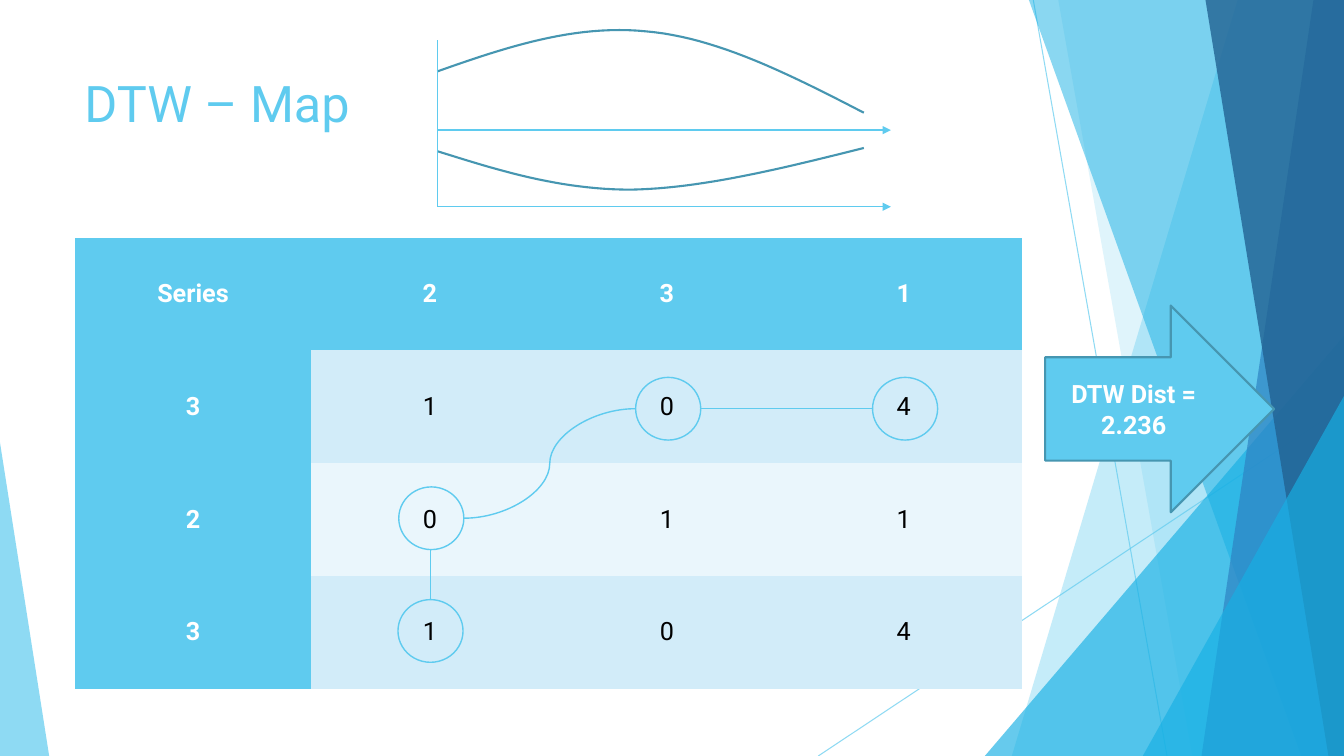
from dataclasses import dataclass
from typing import Any, Optional

import pptx
import pptx.dml.color
import pptx.enum.shapes
import pptx.enum.text
import pptx.oxml
import pptx.oxml.ns
import pptx.util
from pptx.util import Cm

Point = tuple[float, float]
Shapes = pptx.enum.shapes.MSO_SHAPE
Connectors = pptx.enum.shapes.MSO_CONNECTOR
qn = pptx.oxml.ns.qn

WIDTH, HEIGHT = 33.87, 19.05
NO_GRID_STYLE = "{2D5ABB26-0587-4C30-8999-92F81FD0307C}"
CURVE_STEPS = 24


@dataclass(frozen=True)
class Theme:
    font: str = "Roboto"
    sky: str = "5FCBEF"
    teal: str = "4696B1"
    azure: str = "17B0E4"
    blue: str = "2E83C3"
    navy: str = "226292"
    band_dark: str = "D2ECF9"
    band_light: str = "EAF6FC"
    white: str = "FFFFFF"
    black: str = "000000"
    title_size: float = 36
    body_size: float = 18
    hairline: float = 0.75
    thin: float = 1
    thick: float = 1.5


THEME = Theme()


@dataclass(frozen=True)
class Band:
    """A full-height facet reaching the right edge of the slide."""
    top_x: float
    bottom_x: float
    color: str
    opacity: int


@dataclass(frozen=True)
class Wedge:
    """A right triangle on the bottom edge, with its peak at one end."""
    left: float
    top: float
    width: float
    peak: float
    color: str
    opacity: int


@dataclass(frozen=True)
class Ring:
    x: float
    y: float
    rx: float = 0.82
    ry: float = 0.79


RAYS: list[tuple[Point, Point]] = [
    ((26.04, 0), (29.41, HEIGHT)),
    ((WIDTH, 10.24), (20.62, HEIGHT)),
]
FACETS: list[Band | Wedge] = [
    Band(31.19, 25.5, THEME.sky, 36),
    Band(26.67, 30.05, THEME.sky, 20),
    Wedge(24.82, 8.46, 9.05, 1, THEME.azure, 66),
    Band(25.93, 32.79, THEME.azure, 50),
    Band(33.1, 30.28, THEME.blue, 70),
    Band(30.38, 33.48, THEME.navy, 80),
    Wedge(28.8, 9.98, 5.07, 1, THEME.azure, 66),
    Wedge(0, 11.15, 1.24, 0, THEME.sky, 70),
]
COST_MAP = [
    ["Series", "2", "3", "1"],
    ["3", "1", "0", "4"],
    ["2", "0", "1", "1"],
    ["3", "1", "0", "4"],
]
# Each series: start point, then three points for every cubic piece
UPPER_SERIES: list[Point] = [
    (11.02, 1.8), (12.75, 1.19), (14.48, 0.61), (16.28, 0.79),
    (18.06, 0.94), (19.91, 1.88), (21.77, 2.84)]
LOWER_SERIES: list[Point] = [
    (21.77, 3.73), (19.74, 4.24), (17.68, 4.75), (15.9, 4.78),
    (14.1, 4.78), (12.55, 4.29), (11.02, 3.81)]


def rgb(color: str) -> pptx.dml.color.RGBColor:
    return pptx.dml.color.RGBColor.from_string(color)


def apply_format(target: Any, values: dict[str, Any]) -> None:
    for name, value in values.items():
        setattr(target, name, value)


def set_opacity(shape: Any, percent: int) -> None:
    for color in shape._element.spPr.iter(qn("a:srgbClr")):
        pptx.oxml.ns  # namespace helpers supply the element name
        color.append(color.makeelement(qn("a:alpha"), {"val": str(percent * 1000)}))


def paint(shape: Any, fill: Optional[str] = None,
          line: Optional[str] = None, weight: float = THEME.thin) -> None:
    shape.shadow.inherit = False
    if fill:
        shape.fill.solid()
        shape.fill.fore_color.rgb = rgb(fill)
    else:
        shape.fill.background()
    if line:
        shape.line.color.rgb = rgb(line)
        shape.line.width = pptx.util.Pt(weight)
    else:
        shape.line.fill.background()


def write(frame: Any, text: str, color: str, size: float = THEME.body_size,
          bold: bool = False, centred: bool = True) -> None:
    paragraph = frame.paragraphs[0]
    if centred:
        paragraph.alignment = pptx.enum.text.PP_ALIGN.CENTER
    run = paragraph.add_run()
    run.text = text
    apply_format(run.font, {"name": THEME.font, "size": pptx.util.Pt(size), "bold": bold})
    run.font.color.rgb = rgb(color)


def draw_line(slide: Any, start: Point, end: Point, kind: Any = Connectors.STRAIGHT,
              weight: float = THEME.thin, arrow: bool = False) -> Any:
    line = slide.shapes.add_connector(kind, *map(Cm, start + end))
    line.line.color.rgb = rgb(THEME.sky)
    line.line.width = pptx.util.Pt(weight)
    properties = line._element.spPr
    if arrow:
        outline = properties.find(qn("a:ln"))
        outline.append(outline.makeelement(qn("a:tailEnd"), {"type": "triangle"}))
    properties.append(properties.makeelement(qn("a:effectLst"), {}))
    return line


def draw_outline(slide: Any, points: list[Point], close: bool) -> Any:
    corners = [(Cm(x), Cm(y)) for x, y in points]
    builder = slide.shapes.build_freeform(*corners[0])
    builder.add_line_segments(corners[1:], close=close)
    return builder.convert_to_shape()


def draw_facet(slide: Any, facet: Band | Wedge) -> None:
    if isinstance(facet, Band):
        shape = draw_outline(slide, [(facet.top_x, 0), (WIDTH, 0), (WIDTH, HEIGHT),
                                     (facet.bottom_x, HEIGHT)], close=True)
    else:
        shape = slide.shapes.add_shape(
            Shapes.ISOSCELES_TRIANGLE, Cm(facet.left), Cm(facet.top),
            Cm(facet.width), Cm(HEIGHT - facet.top))
        shape.adjustments[0] = facet.peak
    paint(shape, fill=facet.color)
    set_opacity(shape, facet.opacity)


def draw_series(slide: Any, controls: list[Point]) -> None:
    points = [controls[0]]
    for first in range(0, len(controls) - 1, 3):
        piece = controls[first:first + 4]
        for step in range(1, CURVE_STEPS + 1):
            t = step / CURVE_STEPS
            weights = ((1 - t) ** 3, 3 * t * (1 - t) ** 2, 3 * t * t * (1 - t), t ** 3)
            points.append((sum(w * p[0] for w, p in zip(weights, piece)),
                           sum(w * p[1] for w, p in zip(weights, piece))))
    paint(draw_outline(slide, points, close=False), line=THEME.teal, weight=THEME.thick)


def draw_cost_map(slide: Any) -> None:
    frame = slide.shapes.add_table(4, 4, Cm(1.88), Cm(5.99), Cm(23.88), Cm(11.36))
    for style in frame._element.iter(qn("a:tableStyleId")):
        style.text = NO_GRID_STYLE
    for r, values in enumerate(COST_MAP):
        for c, value in enumerate(values):
            heading = r == 0 or c == 0
            band = THEME.band_dark if r % 2 else THEME.band_light
            cell = frame.table.cell(r, c)
            cell.fill.solid()
            cell.fill.fore_color.rgb = rgb(THEME.sky if heading else band)
            cell.vertical_anchor = pptx.enum.text.MSO_ANCHOR.MIDDLE
            write(cell.text_frame, value, THEME.white if heading else THEME.black, bold=heading)


def draw_warping_path(slide: Any) -> None:
    start, second, third, end = rings = [
        Ring(10.85, 15.9), Ring(10.87, 13.06), Ring(16.84, 10.3), Ring(22.81, 10.3)]
    draw_line(slide, (second.x + second.rx, second.y), (third.x - third.rx, third.y),
              Connectors.CURVE)
    draw_line(slide, (start.x, start.y - start.ry), (start.x, second.y + second.ry))
    draw_line(slide, (end.x - end.rx, end.y), (third.x + third.rx, third.y))
    for ring in rings:
        paint(slide.shapes.add_shape(Shapes.OVAL, Cm(ring.x - ring.rx), Cm(ring.y - ring.ry),
                                     Cm(2 * ring.rx), Cm(2 * ring.ry)), line=THEME.sky)


def main() -> None:
    deck = pptx.Presentation()
    apply_format(deck, {"slide_width": Cm(WIDTH), "slide_height": Cm(HEIGHT)})
    slide = deck.slides.add_slide(deck.slide_layouts[6])

    # Faceted backdrop
    for start, end in RAYS:
        set_opacity(draw_line(slide, start, end, weight=THEME.hairline), 70)
    for facet in FACETS:
        draw_facet(slide, facet)

    # Title
    title = slide.shapes.add_textbox(Cm(1.88), Cm(1.7), Cm(23.88), Cm(3.66)).text_frame
    title.word_wrap = True
    write(title, "DTW – Map", THEME.sky, THEME.title_size, centred=False)

    # Cost map, the two series on their axes, and the path through the map
    draw_cost_map(slide)
    for series in (UPPER_SERIES, LOWER_SERIES):
        draw_series(slide, series)
    draw_line(slide, (11.02, 1.02), (11.02, 5.21))
    for axis_y in (3.28, 5.21):
        draw_line(slide, (11.02, axis_y), (22.45, axis_y), arrow=True)
    draw_warping_path(slide)

    # Resulting distance
    distance = slide.shapes.add_shape(Shapes.RIGHT_ARROW, Cm(26.34), Cm(7.7), Cm(5.77), Cm(5.21))
    paint(distance, THEME.sky, THEME.teal, THEME.thick)
    apply_format(distance.text_frame, {
        "word_wrap": True, "vertical_anchor": pptx.enum.text.MSO_ANCHOR.MIDDLE})
    write(distance.text_frame, "DTW Dist = 2.236", THEME.white, bold=True)

    deck.save("out.pptx")


if __name__ == "__main__":
    main()
